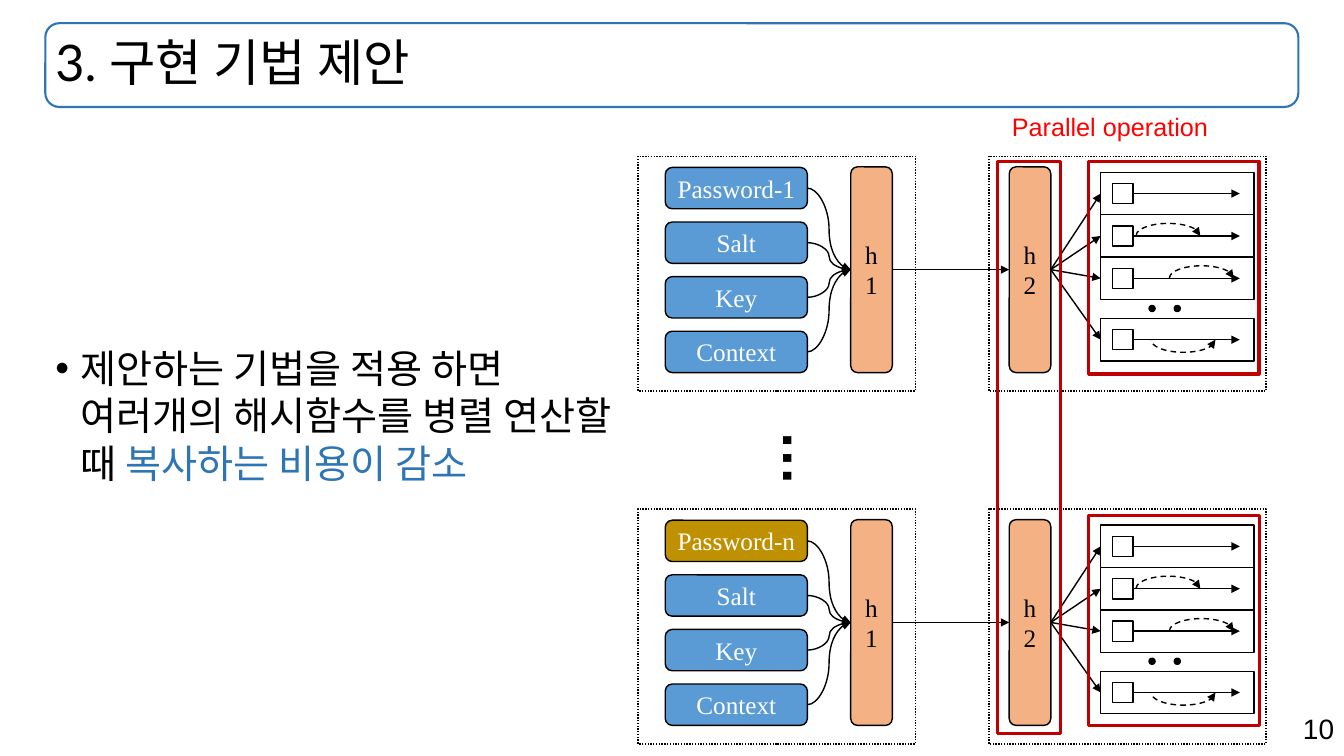
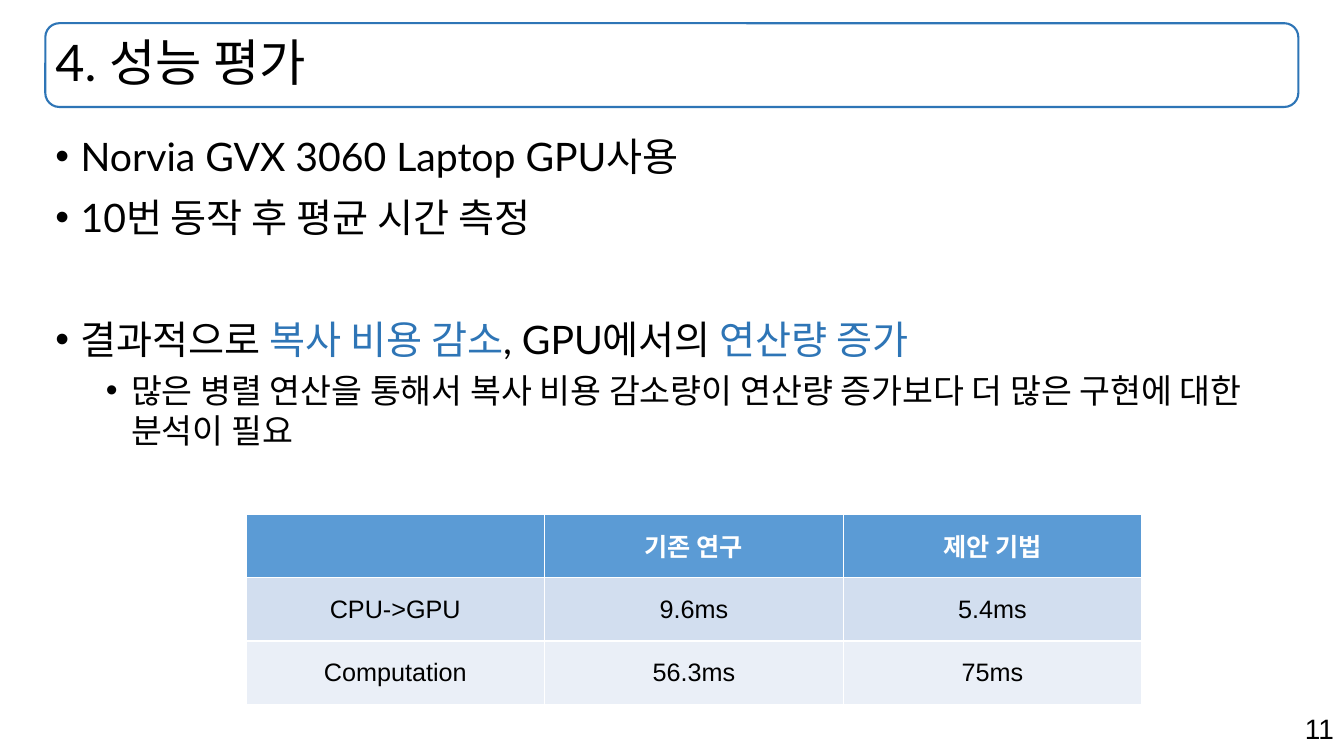
from pptx import Presentation
from pptx.dml.color import RGBColor
from pptx.enum.dml import MSO_LINE
from pptx.enum.shapes import MSO_CONNECTOR, MSO_SHAPE
from pptx.enum.text import MSO_ANCHOR, MSO_AUTO_SIZE, PP_ALIGN
from pptx.oxml.ns import qn
from pptx.oxml.xmlchemy import OxmlElement
from pptx.shapes.connector import Connector
from pptx.util import Pt

rgb = RGBColor.from_string
BLACK, WHITE, RED = "000000", "FFFFFF", "C00000"
ACCENT, BLUE, GOLD, ORANGE = "2E75B6", "5B9BD5", "BF9000", "F4B183"
SERIF = "Times New Roman"


def write(frame, text, size=18, font="Arial", color=BLACK, bold=False,
          align=PP_ALIGN.LEFT, before=0, spacing=1.0, level=None):
    """Add a paragraph; parts between bars take the accent colour."""
    paragraph = frame.paragraphs[0]
    if paragraph.runs:
        paragraph = frame.add_paragraph()
    paragraph.alignment = align
    paragraph.space_before = Pt(before)
    paragraph.line_spacing = spacing
    if level is not None:
        paragraph.level = level
        properties = paragraph._p.get_or_add_pPr()
        properties.set("marL", str(Pt(18 + 36 * level)))
        properties.set("indent", str(Pt(-18)))
        for tag, key, value in (("a:buFont", "typeface", "Arial"), ("a:buChar", "char", "•")):
            bullet = OxmlElement(tag)
            bullet.set(key, value)
            properties.append(bullet)
    for index, part in enumerate(text.split("|")):
        run = paragraph.add_run()
        run.text = part
        run.font.size, run.font.name, run.font.bold = Pt(size), font, bold
        run.font.color.rgb = rgb(ACCENT if index % 2 else color)


def style(item, fill=None, line=BLACK, width=1, dash=None, arrow=None):
    """Set fill, outline and arrowhead, and drop the shadow."""
    item.line.color.rgb = rgb(line)
    item.line.width = Pt(width)
    if dash:
        item.line.dash_style = dash
    properties = item.element.spPr
    if arrow:
        tip = OxmlElement(arrow)
        tip.set("type", "triangle")
        properties.find(qn("a:ln")).append(tip)
    if isinstance(item, Connector):
        properties.append(OxmlElement("a:effectLst"))
        return
    item.shadow.inherit = False
    if fill:
        item.fill.solid()
        item.fill.fore_color.rgb = rgb(fill)
    else:
        item.fill.background()


prs = Presentation()
prs.slide_width, prs.slide_height = Pt(960), Pt(540)

# Shared parts: title in a rounded band, body area, page number
BAND = [Pt(v) for v in (32.4, 16.6, 895, 59.8)]
pages = [
    ("3. 구현 기법 제안", "10", (32.4, 242.6, 417, 275)),
    ("4. 성능 평가", "11", (32.4, 90.7, 895, 398)),
]
slides, bodies = [], []
for heading, number, body_area in pages:
    slide = prs.slides.add_slide(prs.slide_layouts[1])
    title, body = slide.placeholders
    title.left, title.top, title.width, title.height = BAND
    title.text_frame.vertical_anchor = MSO_ANCHOR.MIDDLE
    body.left, body.top, body.width, body.height = [Pt(v) for v in body_area]
    for holder in (title, body):
        holder.text_frame.auto_size = MSO_AUTO_SIZE.NONE
    write(title.text_frame, heading, size=36, font="Lato", spacing=0.9)
    style(slide.shapes.add_shape(MSO_SHAPE.ROUNDED_RECTANGLE, *BAND), line=ACCENT, width=1.5)
    page = slide.shapes.add_textbox(Pt(679), Pt(504.7), Pt(281), Pt(31.5)).text_frame
    page.word_wrap = True
    write(page, number, size=20, align=PP_ALIGN.RIGHT)
    slides.append(slide)
    bodies.append(body.text_frame)

# Slide 1: statement
write(bodies[0], "제안하는 기법을 적용 하면 여러개의 해시함수를 병렬 연산할 때 |복사하는 비용이 감소",
      size=28, font="Lato", level=0)

# Slide 1: one hashing pipeline for each password
shapes = slides[0].shapes
ROW_HEIGHT, BOX_HEIGHT = 30.3, 29.5
ROW_TOPS = (11.5, 41.8, 72.1, 115.9)
for top, password, password_fill in ((111.6, "Password-1", BLUE), (363.6, "Password-n", GOLD)):
    middle = top + 81

    # Dotted frames
    for left in (455.8, 706.3):
        frame = shapes.add_shape(MSO_SHAPE.RECTANGLE, Pt(left), Pt(top), Pt(198), Pt(167.8))
        style(frame, dash=MSO_LINE.ROUND_DOT)

    # Inputs and the two hash functions
    blocks = [(name, 475.2, top + 8 + 39 * i, 101.5, BOX_HEIGHT, BLUE, WHITE)
              for i, name in enumerate((password, "Salt", "Key", "Context"))]
    blocks += [(name, left, top + 7.6, 29.7, 147, ORANGE, BLACK)
               for name, left in (("h1", 607.7), ("h2", 720.9))]
    for name, left, y, width, height, fill, color in blocks:
        block = shapes.add_shape(MSO_SHAPE.ROUNDED_RECTANGLE, Pt(left), Pt(y), Pt(width), Pt(height))
        style(block, fill=password_fill if name == password else fill)
        block.text_frame.vertical_anchor = MSO_ANCHOR.MIDDLE
        write(block.text_frame, name, font=SERIF, color=color, align=PP_ALIGN.CENTER)

    # Memory rows, each with a cell
    for row_top in ROW_TOPS:
        y = top + row_top
        for left, cell_top, width, height in ((786.2, y, 109.5, ROW_HEIGHT), (794.9, y + 8, 14.4, 14.4)):
            cell = shapes.add_shape(MSO_SHAPE.RECTANGLE, Pt(left), Pt(cell_top), Pt(width), Pt(height))
            style(cell)

    # Arrows: inputs to h1, h1 to h2, h2 to rows, along each row
    row_middles = [top + row_top + ROW_HEIGHT / 2 for row_top in ROW_TOPS]
    arrows = [(MSO_CONNECTOR.CURVE, 576.7, top + 8 + 39 * i + BOX_HEIGHT / 2, 607.7, middle)
              for i in range(4)]
    arrows.append((MSO_CONNECTOR.STRAIGHT, 637.4, middle, 720.9, middle))
    for y in row_middles:
        arrows.append((MSO_CONNECTOR.STRAIGHT, 750.6, middle, 786.2, y))
        arrows.append((MSO_CONNECTOR.STRAIGHT, 809.3, y, 885.6, y))
    for route, *ends in arrows:
        style(shapes.add_connector(route, *[Pt(v) for v in ends]), arrow="a:tailEnd")

    # Dashed jumps: start and end angle in units of 100000/60000 degrees
    for left, y, start, end, arrow in (
            (811.4, row_middles[1], 108, 0, "a:tailEnd"),
            (835.2, row_middles[2], 108, 0, "a:tailEnd"),
            (822.2, row_middles[3], 0, 108, "a:headEnd")):
        jump = shapes.add_shape(MSO_SHAPE.ARC, Pt(left), Pt(y - 9), Pt(46), Pt(18))
        jump.adjustments[0], jump.adjustments[1] = start, end
        style(jump, dash=MSO_LINE.DASH, arrow=arrow)

    # Skipped rows
    for left in (820.8, 838.8):
        dot = shapes.add_shape(MSO_SHAPE.OVAL, Pt(left), Pt(top + 106.6), Pt(4.3), Pt(4.3))
        style(dot, fill=BLACK)

# Slide 1: parallel regions and their label
for area in ((712.8, 115.2, 44.6, 409), (777.6, 115.2, 121.7, 152), (777.2, 368, 122.2, 150.5)):
    region = shapes.add_shape(MSO_SHAPE.RECTANGLE, *[Pt(v) for v in area])
    style(region, line=RED, width=2.25)
label = shapes.add_textbox(Pt(715.7), Pt(76.3), Pt(158.4), Pt(28.8)).text_frame
label.word_wrap = False
write(label, "Parallel operation", color="FF0000")
ellipsis = shapes.add_textbox(Pt(540), Pt(300.2), Pt(63.4), Pt(43.2)).text_frame
ellipsis.word_wrap = False
ellipsis._txBody.bodyPr.set("vert", "eaVert")
write(ellipsis, "…", size=40, bold=True)

# Slide 2: findings
for text, size, level, before in (
        ("Norvia GVX 3060 Laptop GPU사용", 28, 0, 0),
        ("10번 동작 후 평균 시간 측정", 28, 0, 10),
        ("결과적으로 |복사 비용 감소|, GPU에서의 |연산량 증가", 28, 0, 54),
        ("많은 병렬 연산을 통해서 복사 비용 감소량이 연산량 증가보다 더 많은 구현에 대한 분석이 필요", 24, 1, 5)):
    write(bodies[1], text, size=size, font="Lato", level=level, before=before)

# Slide 2: timing table
timings = [
    ("", "기존 연구", "제안 기법"),
    ("CPU->GPU", "9.6ms", "5.4ms"),
    ("Computation", "56.3ms", "75ms"),
]
table = slides[1].shapes.add_table(3, 3, Pt(175.7), Pt(367.2), Pt(640), Pt(136)).table
for r, (values, fill) in enumerate(zip(timings, (BLUE, "D2DEEF", "EAEFF7"))):
    for c, value in enumerate(values):
        cell = table.cell(r, c)
        cell.fill.solid()
        cell.fill.fore_color.rgb = rgb(fill)
        cell.vertical_anchor = MSO_ANCHOR.MIDDLE
        if value:
            write(cell.text_frame, value, color=BLACK if r else WHITE, bold=r == 0,
                  align=PP_ALIGN.CENTER)

prs.save("out.pptx")
